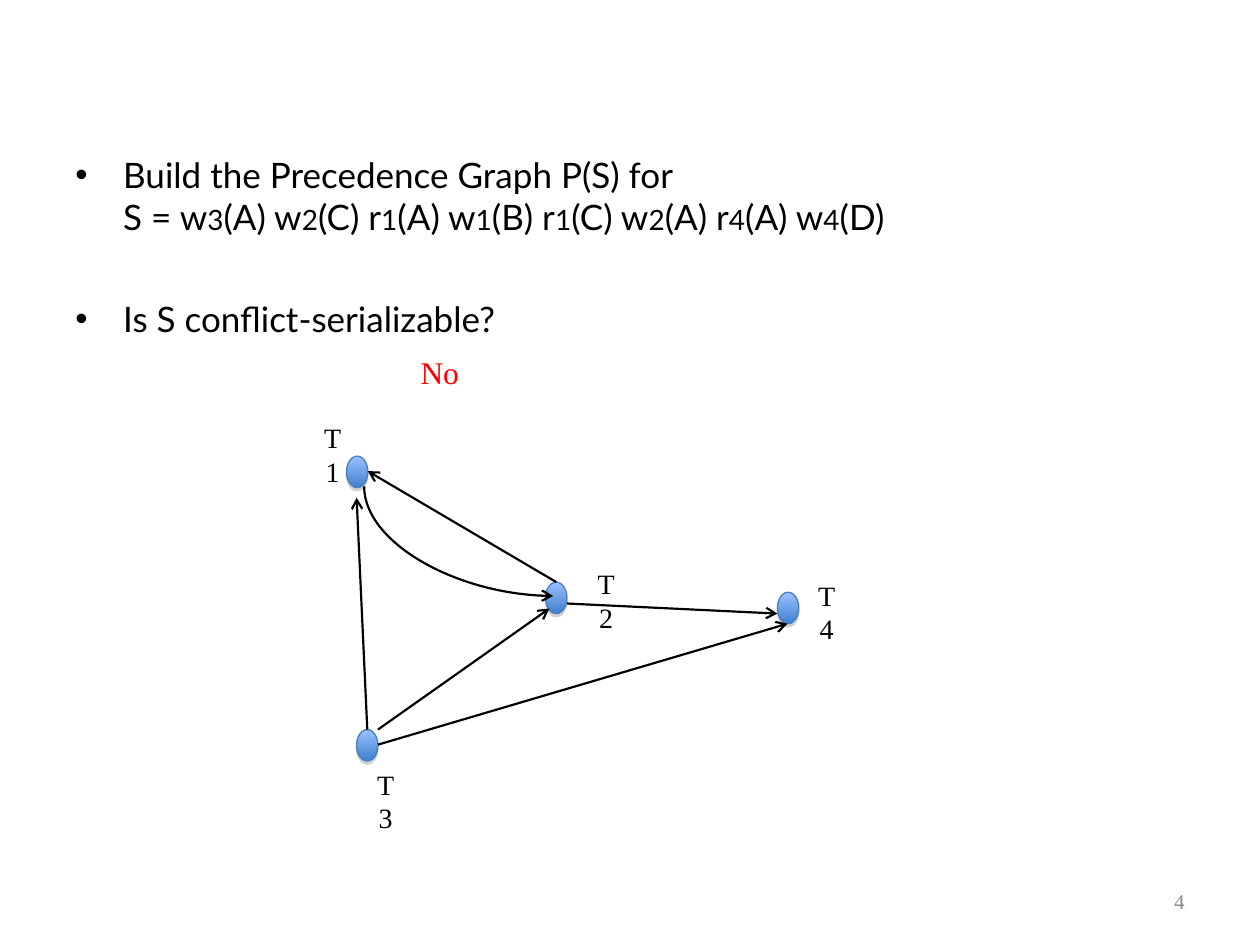
"""Builds the slide on precedence graphs and conflict serializability."""
from dataclasses import dataclass
from itertools import groupby
from typing import NamedTuple, Optional

from lxml.etree import SubElement
from pptx import Presentation
from pptx.dml.color import RGBColor
from pptx.enum.shapes import MSO_CONNECTOR as Connector, MSO_SHAPE as Shape
from pptx.enum.text import MSO_ANCHOR as Anchor, MSO_AUTO_SIZE as AutoSize, PP_ALIGN as Align
from pptx.oxml.ns import qn
from pptx.util import Inches, Pt


@dataclass(frozen=True)
class Theme:
    """Colours, fonts and type sizes of the slide."""
    black: str = "000000"
    red: str = "FF0000"
    grey: str = "898989"
    node_top: str = "9BC1FF"
    node_bottom: str = "3F80CD"
    node_line: str = "4A7EBB"
    shadow: str = "808080"
    body_font: str = "Lato"
    label_font: str = "Times New Roman"
    body: int = 20
    index: int = 16
    label: int = 16
    answer: int = 18
    number: int = 12


class Node(NamedTuple):
    """A transaction with the corners of its ellipse and of its label."""
    name: str
    left: float
    top: float
    label_left: float
    label_top: float


class Edge(NamedTuple):
    """An arrow between two points, optionally glued to the top of a node."""
    start: tuple
    end: tuple
    top_of: Optional[str] = None
    curved: bool = False


THEME = Theme()
NODE_WIDTH, NODE_HEIGHT = 0.17, 0.25
LABEL_WIDTH, LABEL_HEIGHT = 0.44, 0.37
INDENT = 0.38

BULLETS = [
    ("Build the Precedence Graph P(S) for\n"
     "S = w3(A) w2(C) r1(A) w1(B) r1(C) w2(A) r4(A) w4(D)", 0),
    ("Is S conflict-serializable?", 34),
]
NODES = [
    Node("T4", 6.17, 4.7, 6.34, 4.54),
    Node("T2", 4.33, 4.62, 4.59, 4.45),
    Node("T1", 2.75, 3.62, 2.42, 3.29),
    Node("T3", 2.83, 5.79, 2.84, 6.04),
]
EDGES = [
    Edge((2.92, 5.79), (2.83, 3.95), top_of="T3"),
    Edge((3, 5.79), (4.36, 4.83)),
    Edge((4.42, 4.62), (2.92, 3.74), top_of="T2"),
    Edge((2.89, 3.86), (4.39, 4.73), curved=True),
    Edge((4.5, 4.79), (6.17, 4.87)),
    Edge((3, 5.91), (6.25, 4.95)),
]


def rgb(colour: str) -> RGBColor:
    """Turn a hex string into a colour."""
    return RGBColor.from_string(colour)


def add_run(paragraph, text: str, *, size: int, font: str, colour: str) -> None:
    """Append formatted text to a paragraph."""
    run = paragraph.add_run()
    run.text = text
    run.font.size, run.font.name = Pt(size), font
    run.font.color.rgb = rgb(colour)


def add_text(slide, text: str, box: tuple, *, size: int, colour: str = THEME.black,
             align=Align.CENTER, anchor=Anchor.TOP, wrap: bool = True,
             grow: bool = True) -> None:
    """Add a one-line text box in the label font."""
    frame = slide.shapes.add_textbox(*map(Inches, box)).text_frame
    frame.word_wrap, frame.vertical_anchor = wrap, anchor
    frame.auto_size = AutoSize.SHAPE_TO_FIT_TEXT if grow else AutoSize.NONE
    paragraph = frame.paragraphs[0]
    paragraph.alignment = align
    add_run(paragraph, text, size=size, font=THEME.label_font, colour=colour)


def add_bullet(paragraph, text: str, space_before: int) -> None:
    """Fill a bulleted paragraph, setting its index digits smaller."""
    paragraph.space_before = Pt(space_before)
    properties = paragraph._p.get_or_add_pPr()
    properties.set("marL", str(Inches(INDENT)))
    properties.set("indent", str(-Inches(INDENT)))
    bullet_colour = SubElement(properties, qn("a:buClr"))
    SubElement(bullet_colour, qn("a:srgbClr"), val=THEME.black)
    SubElement(properties, qn("a:buFont"), typeface="Arial")
    SubElement(properties, qn("a:buChar"), char="•")
    for number, line in enumerate(text.split("\n")):
        if number:
            paragraph.add_line_break()
        for is_index, letters in groupby(line, str.isdigit):
            add_run(paragraph, "".join(letters), font=THEME.body_font, colour=THEME.black,
                    size=THEME.index if is_index else THEME.body)


def add_bullets(slide) -> None:
    """Add the question text."""
    frame = slide.shapes.add_textbox(Inches(0.5), Inches(1.17), Inches(9), Inches(1.67)).text_frame
    frame.word_wrap = True
    for number, (text, space_before) in enumerate(BULLETS):
        paragraph = frame.add_paragraph() if number else frame.paragraphs[0]
        add_bullet(paragraph, text, space_before)


def add_node(slide, node: Node):
    """Draw the shaded ellipse of a transaction."""
    shape = slide.shapes.add_shape(Shape.OVAL, Inches(node.left), Inches(node.top),
                                   Inches(NODE_WIDTH), Inches(NODE_HEIGHT))
    shape.fill.gradient()
    shape.fill.gradient_angle = 270
    colours = (THEME.node_top, THEME.node_bottom)
    for position, (stop, colour) in enumerate(zip(shape.fill.gradient_stops, colours)):
        stop.position, stop.color.rgb = position, rgb(colour)
    shape.line.color.rgb, shape.line.width = rgb(THEME.node_line), Pt(0.75)
    shape.shadow.inherit = False
    effects = shape._element.spPr.find(qn("a:effectLst"))
    shadow = SubElement(effects, qn("a:outerShdw"), blurRad="0", dist=str(Pt(1.8)),
                        dir="5400000", algn="ctr", rotWithShape="0")
    shadow_colour = SubElement(shadow, qn("a:srgbClr"), val=THEME.shadow)
    SubElement(shadow_colour, qn("a:alpha"), val="35000")
    return shape


def add_edge(slide, edge: Edge, shapes: dict) -> None:
    """Draw an arrow; a curved one is a quarter arc that leaves vertically."""
    (x1, y1), (x2, y2) = edge.start, edge.end
    kind = Connector.STRAIGHT
    if edge.curved:
        kind = Connector.CURVE
        middle_x, middle_y = (x1 + x2) / 2, (y1 + y2) / 2
        half_width, half_height = (y2 - y1) / 2, (x2 - x1) / 2
        x1, x2 = middle_x + half_width, middle_x - half_width
        y1, y2 = middle_y - half_height, middle_y + half_height
    connector = slide.shapes.add_connector(kind, *map(Inches, (x1, y1, x2, y2)))
    properties = connector._element.spPr
    if edge.curved:
        properties.find(qn("a:xfrm")).set("rot", str(270 * 60000))
        properties.find(qn("a:prstGeom")).set("prst", "curvedConnector2")
    if edge.top_of:
        connector.begin_connect(shapes[edge.top_of], 0)
    connector.line.color.rgb, connector.line.width = rgb(THEME.black), Pt(1.25)
    SubElement(properties.find(qn("a:ln")), qn("a:tailEnd"), type="arrow")
    SubElement(properties, qn("a:effectLst"))


def main() -> None:
    """Build and save the presentation."""
    presentation = Presentation()
    presentation.slide_width, presentation.slide_height = Inches(10), Inches(7.5)
    slide = presentation.slides.add_slide(presentation.slide_layouts.get_by_name("Blank"))
    add_bullets(slide)
    add_text(slide, "4", (7.17, 6.95, 2.33, 0.4), size=THEME.number, colour=THEME.grey,
             align=Align.RIGHT, anchor=Anchor.MIDDLE, grow=False)
    add_text(slide, "No", (3.08, 2.75, 0.82, 0.4), size=THEME.answer, colour=THEME.red)
    shapes = {node.name: add_node(slide, node) for node in NODES}
    for node in NODES:
        add_text(slide, node.name, (node.label_left, node.label_top, LABEL_WIDTH, LABEL_HEIGHT),
                 size=THEME.label, wrap=False)
    for edge in EDGES:
        add_edge(slide, edge, shapes)
    presentation.save("out.pptx")


if __name__ == "__main__":
    main()
